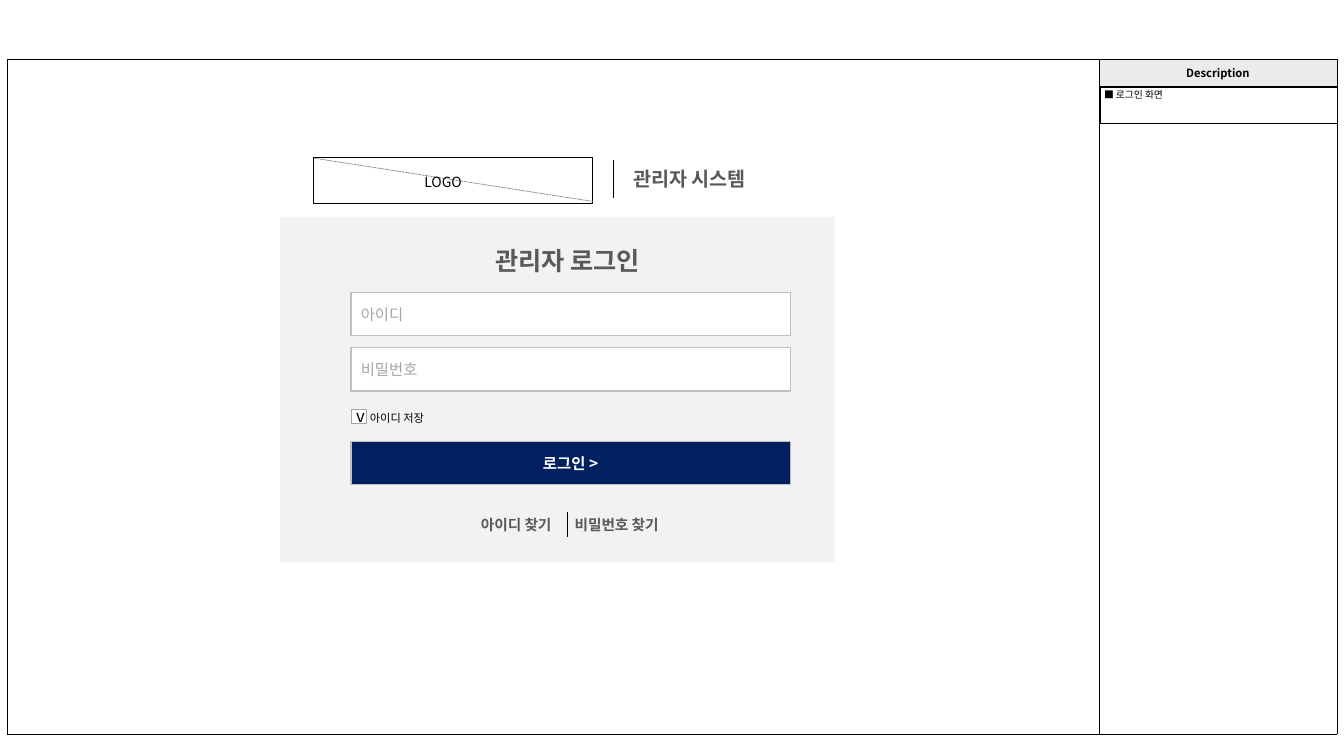
"""Wireframe slide of an administrator login page with a description column."""
from lxml import etree
from pptx import Presentation
from pptx.dml.color import RGBColor
from pptx.enum.dml import MSO_LINE
from pptx.enum.shapes import MSO_CONNECTOR, MSO_SHAPE
from pptx.enum.text import MSO_ANCHOR, MSO_AUTO_SIZE, PP_ALIGN
from pptx.oxml.ns import qn
from pptx.util import Inches, Pt

RECT, LINE = MSO_SHAPE.RECTANGLE, MSO_CONNECTOR.STRAIGHT
LEFT, MID = PP_ALIGN.LEFT, PP_ALIGN.CENTER
FIT, CENTRE, DASH = MSO_AUTO_SIZE.SHAPE_TO_FIT_TEXT, MSO_ANCHOR.MIDDLE, MSO_LINE.SQUARE_DOT
NOTO, ARIAL = "Noto Sans CJK KR", "Arial"
PAD, BARE = (0.1, 0.1, 0.05, 0.05), (0, 0, 0, 0)
INK = {"black": "000000", "white": "FFFFFF", "head": "EBEBEB", "panel": "F2F2F2",
       "navy": "002060", "title": "595959", "hint": "A6A6A6", "edge": "BFBFBF",
       "dash": "808080"}

WIDE, HIGH = 13.33, 7.5
COL, FIELD, TALL = 3.48, 4.36, 0.43
FIELDS = [
    (2.9, "아이디", "white", "hint", False, LEFT),
    (3.45, "비밀번호", "white", "hint", False, LEFT),
    (4.38, "로그인 >", "navy", "white", True, MID),
]
LABELS = [
    ((6.09, 1.66, 1.5, 0.24), "관리자 시스템", 14, MID),
    ((4.05, 2.43, 3.16, 0.3), "관리자 로그인", 18, MID),
    ((4.77, 5.12, 0.79, 0.18), "아이디 찾기", 10.5, LEFT),
    ((5.7, 5.12, 0.98, 0.18), "비밀번호 찾기", 10.5, LEFT),
]
BARS = [(6.08, 1.59, 1.96), (5.63, 5.08, 5.33)]


def rgb(name):
    return RGBColor.from_string(INK[name])


def write(frame, text, size, tone="black", face=NOTO, bold=False, align=LEFT):
    frame.text = text
    para = frame.paragraphs[0]
    para.alignment = align
    run = para.runs[0]
    font = run.font
    font.size, font.bold, font.name = Pt(size), bold, face
    font.color.rgb = rgb(tone)
    east = etree.SubElement(font._element, qn("a:ea"))
    east.set("typeface", NOTO)


def inset(part, pad):
    (part.margin_left, part.margin_right,
     part.margin_top, part.margin_bottom) = map(Inches, pad)


def box(home, area, fill=None, edge=None, width=1):
    shape = home.add_shape(RECT, *map(Inches, area))
    shape.shadow.inherit = False
    if fill:
        shape.fill.solid()
        shape.fill.fore_color.rgb = rgb(fill)
    else:
        shape.fill.background()
    if edge:
        shape.line.color.rgb = rgb(edge)
        shape.line.width = Pt(width)
    else:
        shape.line.fill.background()
    shape.text_frame.vertical_anchor = CENTRE
    return shape


def label(home, area, pad, *args, **style):
    frame = home.add_textbox(*map(Inches, area)).text_frame
    frame.word_wrap, frame.auto_size = True, FIT
    inset(frame, pad)
    write(frame, *args, **style)


def rule(home, ends, tone="black", dash=None):
    line = home.add_connector(LINE, *map(Inches, ends))
    line.line.color.rgb = rgb(tone)
    line.line.width = Pt(0.5)
    if dash:
        line.line.dash_style = dash
    etree.SubElement(line._element.spPr, qn("a:effectLst"))


def paint(cell, tone):
    props = cell._tc.get_or_add_tcPr()
    for side in ("lnL", "lnR", "lnT", "lnB"):
        edge = etree.SubElement(props, qn("a:" + side), w=str(Pt(0.25)))
        fill = etree.SubElement(edge, qn("a:solidFill"))
        etree.SubElement(fill, qn("a:srgbClr"), val=INK["black"])
    cell.fill.solid()
    cell.fill.fore_color.rgb = rgb(tone)


def grid(home, left, top, cols, rows):
    area = map(Inches, (left, top, sum(cols), sum(rows)))
    table = home.add_table(len(rows), len(cols), *area).table
    table.first_row = table.horz_banding = False
    for part, sizes in ((table.columns, cols), (table.rows, rows)):
        for item, size in zip(part, sizes):
            if part is table.columns:
                item.width = Inches(size)
            else:
                item.height = Inches(size)
    for cell in table.iter_cells():
        paint(cell, "white")
    return table


def frame(home):
    table = grid(home, 0.07, 0.59, (10.83, 2.36), (0.26, 6.43))
    table.cell(0, 0).merge(table.cell(1, 0))
    head = table.cell(0, 1)
    head.fill.fore_color.rgb = rgb("head")
    head.vertical_anchor = CENTRE
    inset(head, (0.04,) * 4)
    write(head.text_frame, "Description", 8, bold=True, align=MID)
    note = grid(home, 10.91, 0.86, (2.35,), (0.36,)).cell(0, 0)
    inset(note, (0.04, 0.04, 0.01, 0.01))
    write(note.text_frame, "■ 로그인 화면", 7, face=ARIAL)


def logo(home):
    group = home.add_group_shape().shapes
    box(group, (3.11, 1.56, 2.77, 0.46), edge="black", width=0.75)
    rule(group, (3.12, 1.57, 5.89, 2), "dash", DASH)
    label(group, (4.11, 1.67, 0.63, 0.2), PAD, "LOGO", 10)


def login(home):
    box(home, (2.78, 2.15, 5.5, 3.43), "panel")
    for top, text, fill, tone, bold, align in FIELDS:
        field = box(home, (COL, top, FIELD, TALL), fill, "edge")
        write(field.text_frame, text, 11, tone, bold=bold, align=align)
    check = box(home, (COL, 4.06, 0.15, 0.14), "white", "hint", 0.25)
    write(check.text_frame, "v", 12, align=MID)
    label(home, (3.57, 4.03, 0.91, 0.24), PAD, "아이디 저장", 8)
    for area, text, size, align in LABELS:
        label(home, area, BARE, text, size, "title", ARIAL, True, align)
    for x, top, end in BARS:
        rule(home, (x, top, x, end))


def main():
    deck = Presentation()
    deck.slide_width, deck.slide_height = Inches(WIDE), Inches(HIGH)
    home = deck.slides.add_slide(deck.slide_layouts[6]).shapes
    frame(home)
    logo(home)
    login(home)
    deck.save("out.pptx")


if __name__ == "__main__":
    main()
